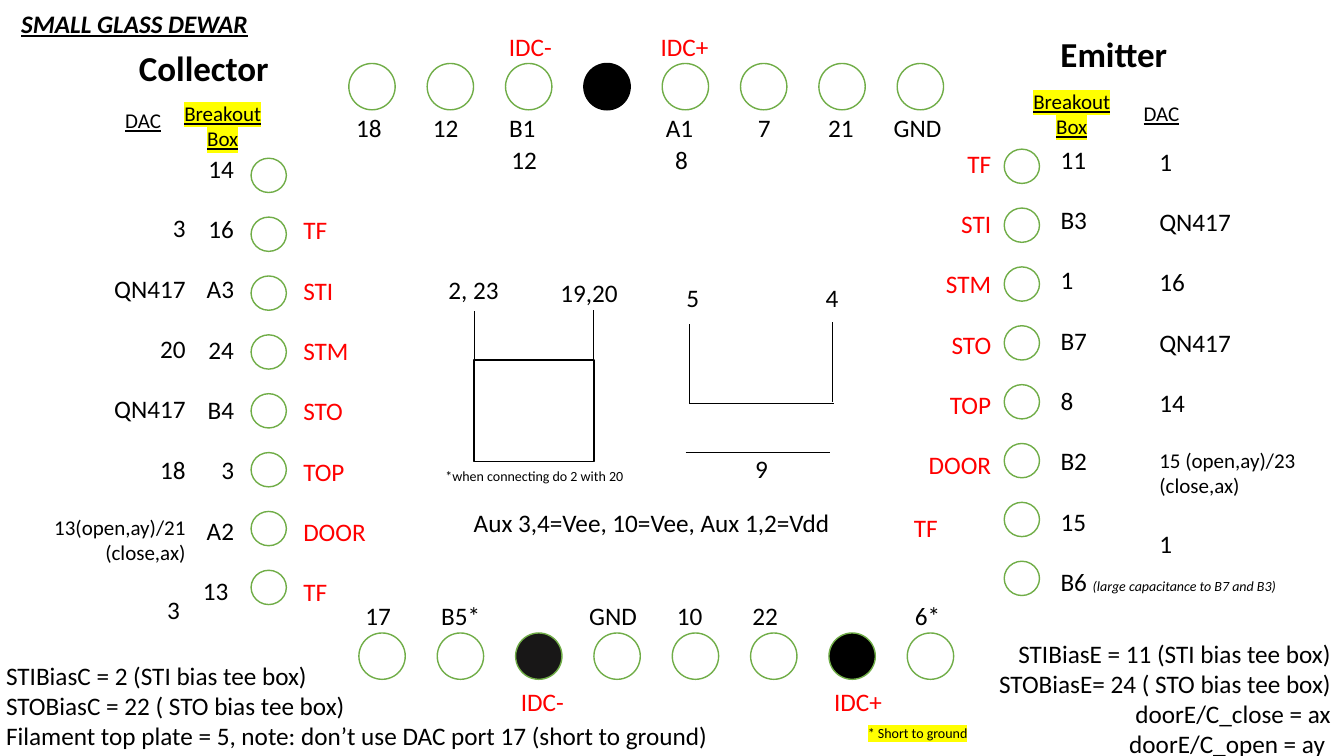
from pptx import Presentation
from pptx.dml.color import RGBColor
from pptx.enum.shapes import MSO_CONNECTOR, MSO_SHAPE
from pptx.enum.text import MSO_ANCHOR, MSO_AUTO_SIZE, PP_ALIGN
from pptx.oxml.ns import qn
from pptx.util import Inches, Pt
from lxml.etree import SubElement

COLORS = {"ink": "000000", "paper": "FFFFFF", "ring": "70AD47",
          "signal": "FF0000", "marker": "FFFF00", "dark": "181717"}
BODY, HEADING, MEDIUM, SMALL = 18, 25, 15, 10
LEFT, CENTER, RIGHT = PP_ALIGN.LEFT, PP_ALIGN.CENTER, PP_ALIGN.RIGHT
ROW_GAP = 21.5
AMPLIFIER = "QN417"


def rgb(name):
    return RGBColor.from_string(COLORS[name])


def write(para, text, size=BODY, color="ink", bold=False, italic=False,
          underline=False, highlight=None):
    span = para.add_run()
    span.text = text
    font = span.font
    font.size = Pt(size)
    font.bold, font.italic, font.underline = bold, italic, underline
    font.color.rgb = rgb(color)
    if highlight:
        mark = SubElement(span._r.get_or_add_rPr(), qn("a:highlight"))
        SubElement(mark, qn("a:srgbClr"), val=COLORS[highlight])
    font.name = "Calibri"


class WiringSlide:
    def __init__(self, deck):
        self.page = deck.slides.add_slide(deck.slide_layouts[3])
        self.shapes = self.page.shapes

    def fill_box(self, box, place, lines, align=LEFT, gap=0, **style):
        box.left, box.top, box.width, box.height = map(Inches, place)
        frame = box.text_frame
        frame.word_wrap = True
        frame.auto_size = MSO_AUTO_SIZE.NONE
        frame.vertical_anchor = MSO_ANCHOR.TOP
        for index, line in enumerate(lines):
            para = frame.paragraphs[0] if index == 0 else frame.add_paragraph()
            para.alignment = align
            text, changes = line if isinstance(line, tuple) else (line, {})
            changes = dict(changes)
            before = changes.pop("before", gap)
            para.space_before = Pt(before if index else 0)
            write(para, text, **{**style, **changes})
        return frame

    def text(self, place, *lines, **style):
        box = self.shapes.add_textbox(*map(Inches, place))
        return self.fill_box(box, place, lines, **style)

    def title(self, place, text, **style):
        self.fill_box(self.shapes.title, place, [text], **style)

    def notes(self, index, place, *lines, **style):
        frame = self.fill_box(self.page.placeholders[index], place, lines, **style)
        for para in frame.paragraphs:
            properties = para._p.get_or_add_pPr()
            properties.set("marL", "0")
            properties.set("indent", "0")
            SubElement(properties, qn("a:buNone"))

    def labels(self, top, centers, **style):
        for text, center in centers.items():
            self.text((center - 0.45, top, 0.9, 0.4), text, align=CENTER, **style)

    def shape(self, kind, place, fill="paper", line="ring"):
        shape = self.shapes.add_shape(kind, *map(Inches, place))
        shape.shadow.inherit = False
        shape.fill.solid()
        shape.fill.fore_color.rgb = rgb(fill)
        shape.line.color.rgb = rgb(line)
        shape.line.width = Pt(1)

    def pins(self, left, top, size, step_x=0, step_y=0, special=None):
        for index in range(8):
            fill, line = (special or {}).get(index, ("paper", "ring"))
            place = (left + index * step_x, top + index * step_y, *size)
            self.shape(MSO_SHAPE.OVAL, place, fill, line)

    def wire(self, *ends):
        line = self.shapes.add_connector(MSO_CONNECTOR.STRAIGHT, *map(Inches, ends))
        line.line.color.rgb = rgb("ink")
        line.line.width = Pt(0.5)
        SubElement(line._element.spPr, qn("a:effectLst"))


def draw_pins(slide):
    slide.pins(3.46, 0.63, (0.46, 0.46), step_x=0.777, special={3: ("ink", "ink")})
    slide.pins(3.56, 6.28, (0.46, 0.46), step_x=0.777,
               special={2: ("dark", "ring"), 6: ("ink", "ring")})
    slide.pins(2.49, 1.57, (0.35, 0.34), step_y=0.584)
    slide.pins(9.96, 1.48, (0.35, 0.34), step_y=0.584)


def draw_pin_labels(slide):
    slide.labels(1.07, {"18": 3.66, "12": 4.42, "B1": 5.18, "A1": 6.74,
                        "7": 7.58, "21": 8.34, "GND": 9.1})
    slide.labels(1.38, {"12": 5.2, "8": 6.76})
    slide.labels(5.91, {"17": 3.75, "B5*": 4.57, "GND": 6.08, "10": 6.84,
                        "22": 7.59, "6*": 9.2})
    slide.labels(0.26, {"IDC-": 5.26, "IDC+": 6.79}, color="signal")
    slide.labels(6.76, {"IDC-": 5.38, "IDC+": 8.51}, color="signal")


def draw_columns(slide):
    signals = ["TF", "STI", "STM", "STO", "TOP", "DOOR"]
    medium = {"size": MEDIUM}
    slide.text((2.91, 2.08, 0.97, 4.64), *signals, "TF", gap=ROW_GAP, color="signal")
    slide.text((8.96, 1.42, 0.97, 4.04), *signals, align=RIGHT, gap=ROW_GAP,
               color="signal")
    slide.text((8.8, 5.03, 0.6, 0.4), "TF", align=RIGHT, color="signal")
    emitter = slide.text((10.42, 1.38, 2.41, 4.64), "11", "B3", "1", "B7", "8", "B2",
                         "15", "B6 ", gap=ROW_GAP)
    write(emitter.paragraphs[-1], "(large capacitance to B7 and B3)",
          size=SMALL, italic=True)
    slide.text((1.45, 1.47, 0.97, 4.64), "14", "16", "A3", "24", "B4", "3", "A2",
               "13 ", align=RIGHT, gap=ROW_GAP)
    slide.text((11.4, 1.4, 1.74, 4.85), "1", AMPLIFIER, "16", AMPLIFIER, "14",
               ("15 (open,ay)/23 (close,ax)", medium), "1", gap=ROW_GAP)
    slide.text((0.2, 2.06, 1.74, 4.25), "3", AMPLIFIER, "20", AMPLIFIER, "18",
               ("13(open,ay)/21", medium), ("(close,ax)", {**medium, "before": 0}),
               "3 ", align=RIGHT, gap=ROW_GAP)


def draw_headings(slide):
    slide.title((0.11, 0.03, 2.94, 0.4), "SMALL GLASS DEWAR", bold=True,
                italic=True, underline=True)
    slide.text((1.28, 0.41, 1.87, 0.52), "Collector", size=HEADING, bold=True)
    slide.text((10.42, 0.27, 1.34, 0.52), "Emitter", size=HEADING, bold=True)
    for left, top in ((0.87, 1.02), (10.97, 0.95)):
        slide.text((left, top, 1.1, 0.35), "DAC", size=MEDIUM, align=CENTER,
                   underline=True)
    for left, top in ((1.58, 0.95), (10, 0.83)):
        slide.text((left, top, 1.26, 0.61), "Breakout Box", size=MEDIUM,
                   align=CENTER, underline=True, highlight="marker")


def draw_center(slide):
    slide.shape(MSO_SHAPE.RECTANGLE, (4.7, 3.57, 1.19, 1.01), line="ink")
    for ends in ((4.7, 3.57, 4.7, 3.09), (5.89, 3.57, 5.89, 3.08),
                 (6.84, 4.01, 6.84, 3.21), (8.26, 3.99, 8.26, 3.19),
                 (6.84, 4, 8.27, 4), (6.8, 4.49, 8.23, 4.49)):
        slide.wire(*ends)
    for text, left, top, width in (("2, 23", 4.35, 2.67, 1.3), ("19,20", 5.46, 2.7, 1.3),
                                   ("5", 6.71, 2.75, 0.42), ("4", 8.09, 2.75, 0.42),
                                   ("9", 7.39, 4.45, 1.3),
                                   ("Aux 3,4=Vee, 10=Vee, Aux 1,2=Vdd", 4.6, 4.98, 3.89)):
        slide.text((left, top, width, 0.4), text)
    slide.text((4.32, 4.59, 1.98, 0.27), "*when connecting do 2 with 20", size=SMALL)


def draw_notes(slide):
    slide.notes(1, (-0.04, 6.5, 7.23, 1), "STIBiasC = 2 (STI bias tee box)",
                "STOBiasC = 22 ( STO bias tee box)",
                "Filament top plate = 5, note: don’t use DAC port 17 (short to ground)")
    slide.notes(2, (8.39, 6.28, 4.91, 1.22), "STIBiasE = 11 (STI bias tee box)",
                "STOBiasE= 24 ( STO bias tee box)", "doorE/C_close = ax",
                "doorE/C_open = ay ", align=RIGHT)
    slide.text((8.51, 7.14, 1.83, 0.27), "* Short to ground", size=SMALL,
               highlight="marker")


def main():
    deck = Presentation()
    deck.slide_width, deck.slide_height = Inches(13.33), Inches(7.5)
    slide = WiringSlide(deck)
    for draw in (draw_pins, draw_pin_labels, draw_columns, draw_headings,
                 draw_center, draw_notes):
        draw(slide)
    deck.save("out.pptx")


if __name__ == "__main__":
    main()
